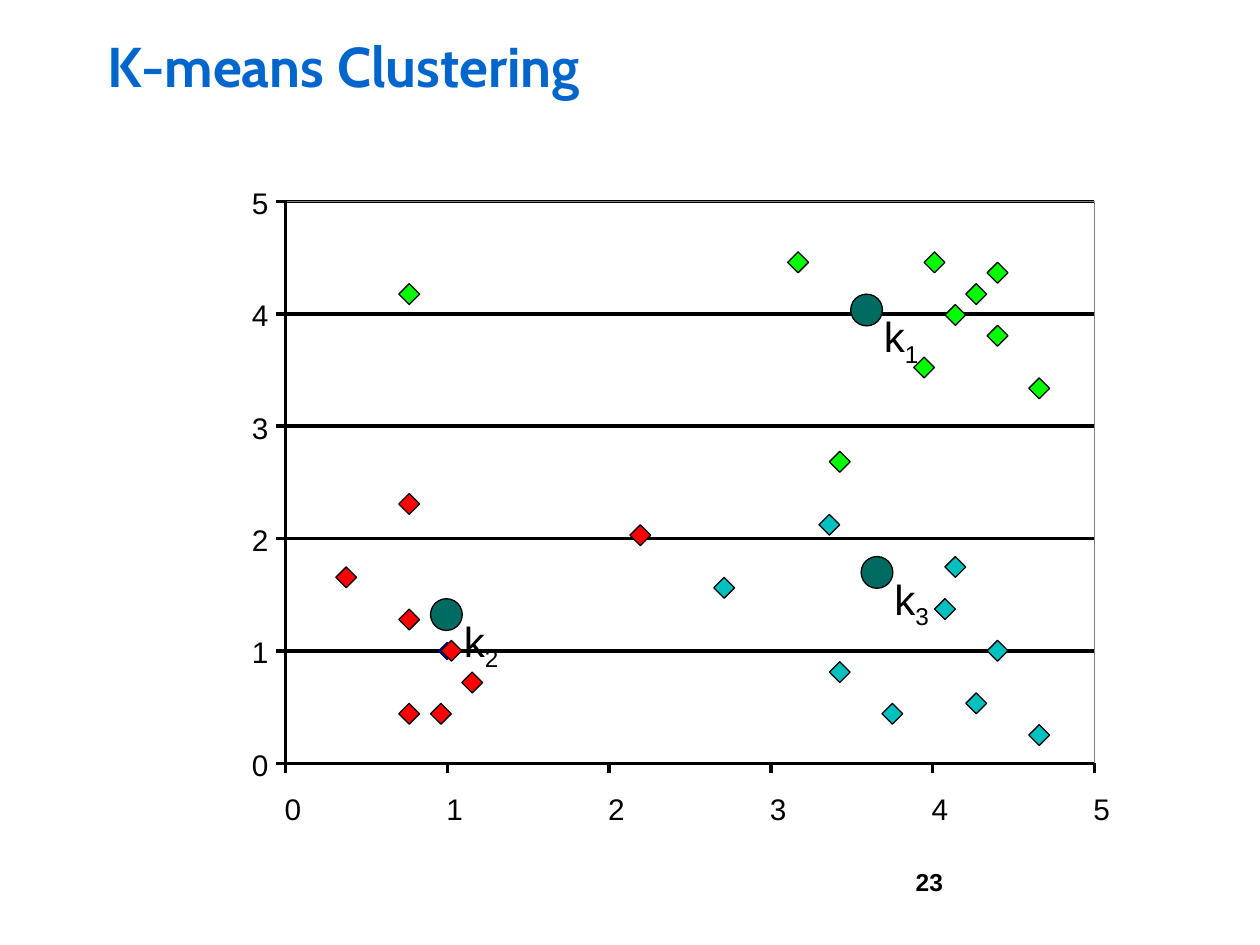
"""Build the K-means clustering slide with its scatter plot and centroids."""
import pptx
import pptx.dml.color
import pptx.enum.shapes
import pptx.enum.text
import pptx.oxml
import pptx.oxml.ns
import pptx.util

Cm = pptx.util.Cm
Pt = pptx.util.Pt
RGBColor = pptx.dml.color.RGBColor
Shape = pptx.enum.shapes.MSO_SHAPE
Align = pptx.enum.text.PP_ALIGN
Anchor = pptx.enum.text.MSO_ANCHOR

BLACK = RGBColor(0x00, 0x00, 0x00)
WHITE = RGBColor(0xFF, 0xFF, 0xFF)
GRAY = RGBColor(0x80, 0x80, 0x80)
BLUE = RGBColor(0x00, 0x66, 0xCC)
NAVY = RGBColor(0x00, 0x00, 0x80)
TEAL = RGBColor(0x00, 0x6B, 0x61)
RED = RGBColor(0xFF, 0x00, 0x00)
GREEN = RGBColor(0x00, 0xFF, 0x00)
CYAN = RGBColor(0x00, 0xC0, 0xC0)

PLOT_LEFT, PLOT_TOP, PLOT_WIDTH, PLOT_HEIGHT = 5.76, 4.06, 16.3, 11.33
PLOT_RIGHT, PLOT_BOTTOM = PLOT_LEFT + PLOT_WIDTH, PLOT_TOP + PLOT_HEIGHT
AXIS_MAX = 5
TICK = 0.2
MARKER = 0.42
CENTROID = 0.64

RED_POINTS = [
    (8.89, 12.91), (9.31, 13.55), (8.68, 14.18), (8.04, 12.28),
    (8.04, 9.95), (8.04, 14.18), (6.77, 11.43), (12.7, 10.58),
]
GREEN_POINTS = [
    (8.04, 5.72), (18.63, 5.08), (19.9, 5.29), (19.47, 5.72), (19.05, 6.14),
    (19.9, 6.56), (20.74, 7.62), (15.88, 5.08), (16.72, 9.1), (18.42, 7.2),
]
CYAN_POINTS = [
    (16.72, 13.34), (17.78, 14.18), (18.84, 12.07), (16.51, 10.37),
    (14.39, 11.64), (19.9, 12.91), (19.47, 13.97), (19.05, 11.22),
    (20.74, 14.61),
]
CENTROIDS = [("1", 17.15, 5.93), ("2", 8.68, 12.07), ("3", 17.36, 11.22)]


def add_text(shapes, text, left, top, width, height, *, size, font="Arial",
             color=BLACK, bold=False, align=Align.LEFT, anchor=Anchor.TOP,
             wrap=True, inset=None, line_spacing=None, subscript=None):
    box = shapes.add_textbox(Cm(left), Cm(top), Cm(width), Cm(height))
    frame = box.text_frame
    frame.word_wrap = wrap
    frame.vertical_anchor = anchor
    if inset is not None:
        frame.margin_left = frame.margin_right = Cm(inset)
        frame.margin_top = frame.margin_bottom = Cm(inset)
    para = frame.paragraphs[0]
    para.alignment = align
    if line_spacing:
        para.line_spacing = Pt(line_spacing)
    for part in filter(None, (text, subscript)):
        span = para.add_run()
        span.text = part
        span.font.name = font
        span.font.size = Pt(size)
        span.font.bold = bold
        span.font.color.rgb = color
    if subscript:
        span._r.get_or_add_rPr().set("baseline", "-25000")


def add_shape(shapes, kind, left, top, width, height, fill, line, weight=0.75):
    shape = shapes.add_shape(kind, Cm(left), Cm(top), Cm(width), Cm(height))
    shape.shadow.inherit = False
    if fill is None:
        shape.fill.background()
    else:
        shape.fill.solid()
        shape.fill.fore_color.rgb = fill
    if line is None:
        shape.line.fill.background()
    else:
        shape.line.color.rgb = line
        shape.line.width = Pt(weight)


deck = pptx.Presentation()
deck.slide_width = Cm(25.4)
deck.slide_height = Cm(19.05)
page = deck.slides.add_slide(deck.slide_layouts[6])

add_text(page.shapes, "23", 18.21, 17.35, 5.92, 1.32, size=14, bold=True)

plot_area = (PLOT_LEFT, PLOT_TOP, PLOT_WIDTH, PLOT_HEIGHT)
add_shape(page.shapes, Shape.RECTANGLE, *plot_area, WHITE, None)

grid_lines = []
axis_lines = [(PLOT_LEFT, PLOT_TOP, PLOT_LEFT, PLOT_BOTTOM),
              (PLOT_LEFT, PLOT_BOTTOM, PLOT_RIGHT, PLOT_BOTTOM)]
for value in range(AXIS_MAX + 1):
    x = PLOT_LEFT + value * PLOT_WIDTH / AXIS_MAX
    y = PLOT_BOTTOM - value * PLOT_HEIGHT / AXIS_MAX
    if value:
        grid_lines.append((PLOT_LEFT, y, PLOT_RIGHT, y))
    axis_lines.append((PLOT_LEFT - TICK, y, PLOT_LEFT, y))
    axis_lines.append((x, PLOT_BOTTOM + TICK, x, PLOT_BOTTOM))

for lines in (grid_lines, axis_lines):
    for ends in lines:
        line = page.shapes.add_connector(
            pptx.enum.shapes.MSO_CONNECTOR.STRAIGHT, *map(Cm, ends))
        line.line.color.rgb = BLACK
        line.line.width = Pt(0)
        line._element.spPr.append(pptx.oxml.parse_xml(
            "<a:effectLst %s/>" % pptx.oxml.ns.nsdecls("a")))
    if lines is grid_lines:
        add_shape(page.shapes, Shape.RECTANGLE, *plot_area, None, GRAY, 0.63)

add_shape(page.shapes, Shape.DIAMOND, 8.84, 12.95, 0.35, 0.35, NAVY, NAVY, 0.63)

for value in range(AXIS_MAX + 1):
    x = PLOT_LEFT + value * PLOT_WIDTH / AXIS_MAX
    y = PLOT_BOTTOM - value * PLOT_HEIGHT / AXIS_MAX
    for left, top in ((5.08, y - 0.34), (x - 0.02, 15.95)):
        add_text(page.shapes, str(value), left, top, 0.33, 0.71, size=17,
                 align=Align.CENTER, wrap=False, inset=0)

add_text(page.shapes, "K-means Clustering", 1.91, 0.64, 21.59, 1.47, size=32,
         font="Cabin", color=BLUE, bold=True, anchor=Anchor.BOTTOM,
         line_spacing=36)

for number, left, top in CENTROIDS:
    group = page.shapes.add_group_shape()
    add_shape(group.shapes, Shape.OVAL, left, top, CENTROID, CENTROID, TEAL, BLACK)
    add_text(group.shapes, "k", left + 0.42, top + 0.21, 1.48, 1.27, size=24,
             subscript=number)

for color, points in ((RED, RED_POINTS), (GREEN, GREEN_POINTS), (CYAN, CYAN_POINTS)):
    for left, top in points:
        add_shape(page.shapes, Shape.DIAMOND, left, top, MARKER, MARKER, color, BLACK)

deck.save("out.pptx")
